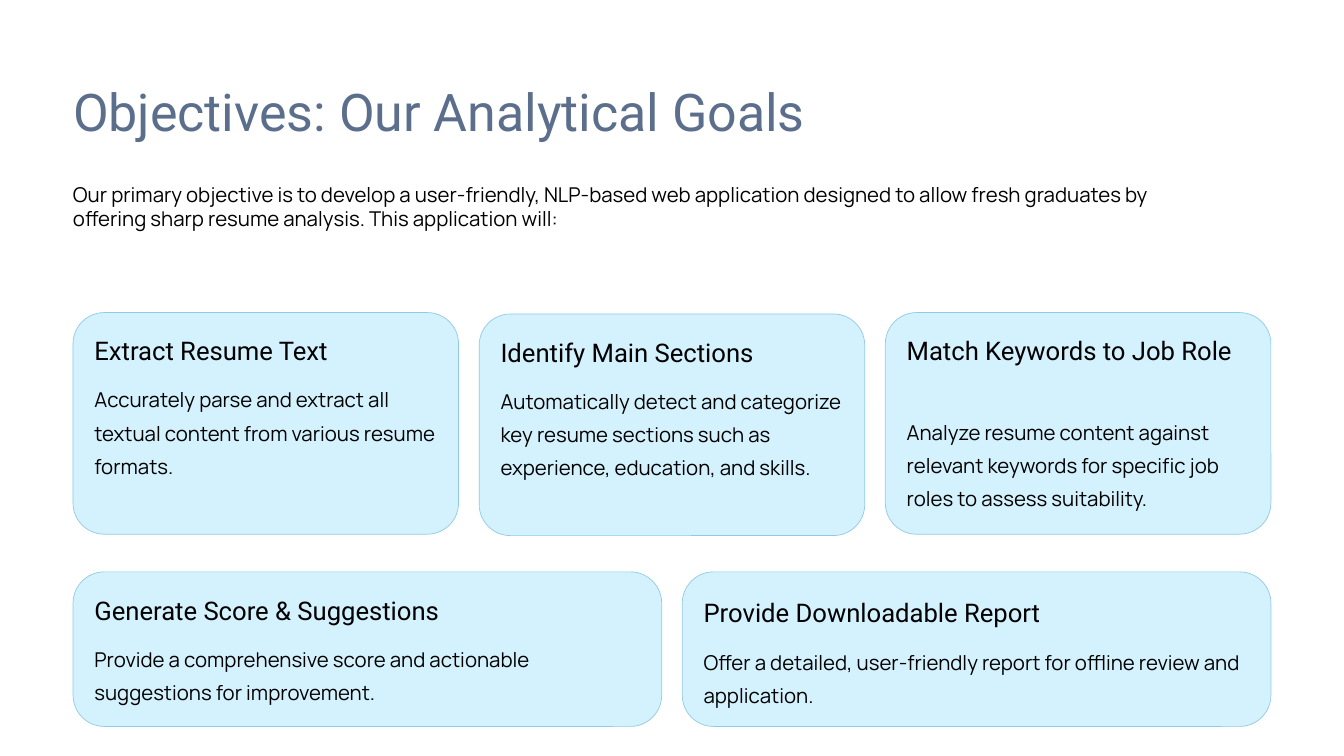
from collections import namedtuple
from dataclasses import dataclass

from lxml import etree
from pptx import Presentation
from pptx.dml.color import RGBColor
from pptx.enum import shapes, text
from pptx.oxml.ns import qn
from pptx.util import Pt

Box = namedtuple("Box", "left top width height")
Card = namedtuple("Card", "heading body drop heading_shift heading_lines",
                  defaults=(0, 0, 1))


@dataclass(frozen=True)
class Theme:
    paper = RGBColor(0xFF, 0xFF, 0xFF)
    card_fill = RGBColor(0xAA, 0xE4, 0xFE)
    card_line = RGBColor(0x90, 0xCA, 0xE4)
    card_alpha = 50
    radius = 26.8
    padding = 18.3
    gap = 17.6
    black = RGBColor(0, 0, 0)
    title = dict(name="Roboto", size=Pt(44.5), color=RGBColor(0x5B, 0x6E, 0x8C), spacing=Pt(55.5))
    intro = dict(name="Manrope", size=Pt(17.5), color=black, spacing=Pt(20.6))
    heading = dict(name="Roboto", size=Pt(22), color=black, spacing=Pt(27.5))
    body = dict(name="Manrope", size=Pt(17.5), color=black, spacing=Pt(28.5))


THEME = Theme()
CONTENT_LEFT, CONTENT_WIDTH = 62.6, 1026.8

TITLE = "Objectives: Our Analytical Goals"
INTRO = ("Our primary objective is to develop a user-friendly, NLP-based web application "
         "designed to allow fresh graduates by offering sharp resume analysis. "
         "This application will:")
TOP_CARDS = [
    Card("Extract Resume Text",
         "Accurately parse and extract all textual content from various resume formats."),
    Card("Identify Main Sections",
         "Automatically detect and categorize key resume sections such as experience, "
         "education, and skills.", drop=1.2),
    Card("Match Keywords to Job Role",
         "Analyze resume content against relevant keywords for specific job roles "
         "to assess suitability.", heading_lines=2),
]
BOTTOM_CARDS = [
    Card("Generate Score & Suggestions",
         "Provide a comprehensive score and actionable suggestions for improvement."),
    Card("Provide Downloadable Report",
         "Offer a detailed, user-friendly report for offline review and application.",
         heading_shift=2.4),
]


def write(shape, words, style):
    """Fill a shape with one left-aligned paragraph in the given style."""
    frame = shape.text_frame
    frame_format = dict(margin_left=0, margin_top=0, margin_right=0, margin_bottom=0,
                        word_wrap=True, auto_size=text.MSO_AUTO_SIZE.NONE,
                        vertical_anchor=text.MSO_ANCHOR.TOP)
    for name, value in frame_format.items():
        setattr(frame, name, value)
    frame.text = words
    paragraph = frame.paragraphs[0]
    paragraph_format = dict(alignment=text.PP_ALIGN.LEFT, line_spacing=style["spacing"],
                            space_before=Pt(0), space_after=Pt(0))
    for name, value in paragraph_format.items():
        setattr(paragraph, name, value)
    font = paragraph.runs[0].font
    for name in ("name", "size"):
        setattr(font, name, style[name])
    font.color.rgb = style["color"]


def add_text(parent, box, words, style):
    write(parent.add_textbox(*map(Pt, box)), words, style)


def add_title(slide, box):
    title = slide.shapes.title
    for name, value in box._asdict().items():
        setattr(title, name, Pt(value))
    write(title, TITLE, THEME.title)


def add_panel(parent, box):
    panel = parent.add_shape(shapes.MSO_SHAPE.ROUNDED_RECTANGLE, *map(Pt, box))
    panel.shadow.inherit = False
    panel.adjustments[0] = THEME.radius / min(box.width, box.height)
    panel.fill.solid()
    panel.fill.fore_color.rgb = THEME.card_fill
    color = panel.fill._xPr.find(f"{qn('a:solidFill')}/{qn('a:srgbClr')}")
    etree.SubElement(color, qn("a:alpha"), val=str(THEME.card_alpha * 1000))
    panel.line.color.rgb = THEME.card_line
    panel.line.width = Pt(0.6)


def add_card(slide, box, card):
    group = slide.shapes.add_group_shape().shapes
    add_panel(group, box)
    left = box.left + THEME.padding
    width = box.width - 2 * THEME.padding
    heading_top = box.top + THEME.padding + card.heading_shift
    heading_height = card.heading_lines * THEME.heading["spacing"].pt
    add_text(group, Box(left, heading_top, width, heading_height), card.heading, THEME.heading)
    body_top = heading_top + heading_height + 11
    body_height = box.top + box.height - body_top - THEME.padding
    add_text(group, Box(left, body_top, width, body_height), card.body, THEME.body)


def add_card_row(slide, box, cards):
    """Share the width of the box equally among the cards."""
    width = (box.width - THEME.gap * (len(cards) - 1)) / len(cards)
    for index, card in enumerate(cards):
        left = box.left + index * (width + THEME.gap)
        add_card(slide, Box(left, box.top + card.drop, width, box.height), card)


def main():
    presentation = Presentation()
    presentation.slide_width, presentation.slide_height = Pt(1152), Pt(648)
    slide = presentation.slides.add_slide(presentation.slide_layouts[5])
    background = slide.background.fill
    background.solid()
    background.fore_color.rgb = THEME.paper

    add_title(slide, Box(CONTENT_LEFT, 66.2, CONTENT_WIDTH, 55.5))
    add_text(slide.shapes, Box(CONTENT_LEFT, 156.6, 950, 42), INTRO, THEME.intro)
    add_card_row(slide, Box(CONTENT_LEFT, 267.9, CONTENT_WIDTH, 190), TOP_CARDS)
    add_card_row(slide, Box(CONTENT_LEFT, 490.2, CONTENT_WIDTH, 132.5), BOTTOM_CARDS)
    presentation.save("out.pptx")


if __name__ == "__main__":
    main()
